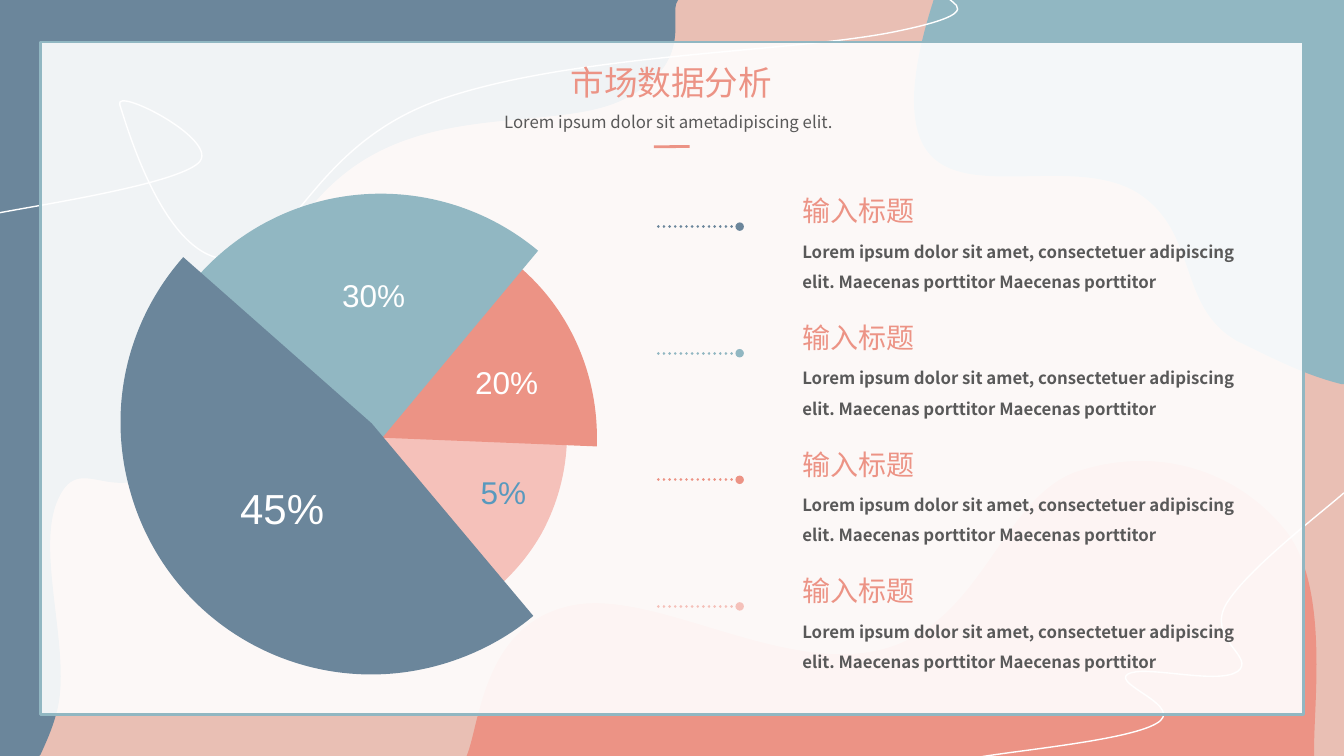
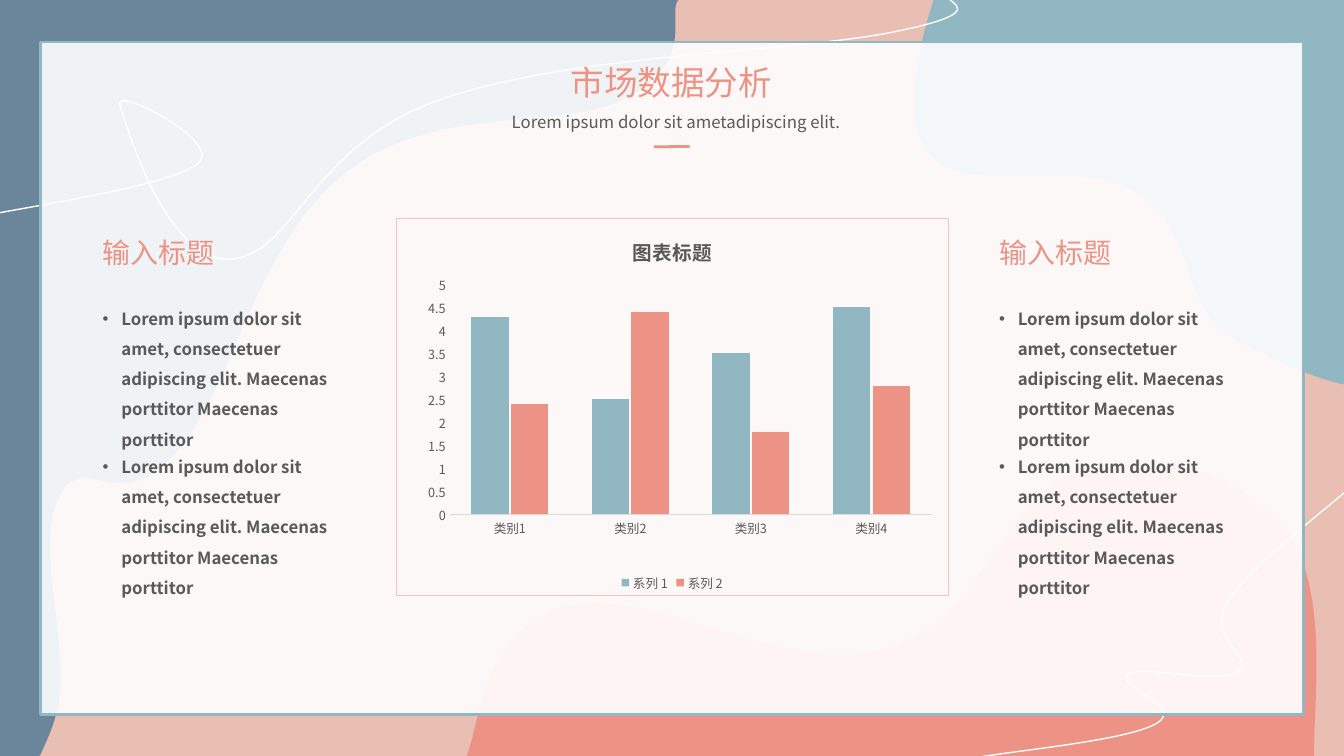
"""Builds two market analysis slides: a stepped pie with notes and a column chart with notes."""
from lxml.etree import SubElement
from pptx import Presentation
from pptx.chart.data import CategoryChartData
from pptx.dml.color import RGBColor
from pptx.enum.chart import XL_CHART_TYPE as ChartType
from pptx.enum.chart import XL_LEGEND_POSITION as LegendPosition
from pptx.enum.chart import XL_TICK_MARK as TickMark
from pptx.enum.dml import MSO_LINE_DASH_STYLE as Dash
from pptx.enum.shapes import MSO_CONNECTOR as Connector
from pptx.enum.shapes import MSO_SHAPE as Shape
from pptx.enum.text import MSO_AUTO_SIZE as AutoSize
from pptx.enum.text import PP_ALIGN as Align
from pptx.oxml import parse_xml
from pptx.oxml.ns import nsdecls, qn
from pptx.util import Cm, Pt

SAND = RGBColor(0xE9, 0xBF, 0xB4)
CORAL = RGBColor(0xEC, 0x93, 0x85)
TEAL = RGBColor(0x91, 0xB7, 0xC2)
SLATE = RGBColor(0x6B, 0x86, 0x9B)
PINK = RGBColor(0xF5, 0xC1, 0xBA)
BLUE = RGBColor(0x58, 0x99, 0xBE)
WHITE = RGBColor(0xFF, 0xFF, 0xFF)
GREY = RGBColor(0x59, 0x59, 0x59)
LIGHT_GREY = RGBColor(0xD9, 0xD9, 0xD9)
CJK = "Noto Sans CJK SC"

TITLE = "市场数据分析"
SUBTITLE = "Lorem ipsum dolor sit ametadipiscing elit."
HEADING = "输入标题"
BODY = "Lorem ipsum dolor sit amet, consectetuer adipiscing elit. Maecenas porttitor Maecenas porttitor"

TITLE_FORMAT = {"size": Pt(24), "name": CJK, "color": CORAL}
SUBTITLE_FORMAT = {"size": Pt(12), "name": CJK, "color": GREY}
HEADING_FORMAT = {"size": Pt(20), "name": CJK, "color": CORAL}
BODY_FORMAT = {"size": Pt(12), "name": CJK, "color": GREY, "bold": True}
CHART_FORMAT = {"size": Pt(9), "name": CJK, "color": GREY}
CHART_TITLE_FORMAT = {"size": Pt(14), "name": CJK, "color": GREY, "bold": True}

CORAL_HILL = [
    (11.76, 19.05), (12.09, 18.26, 12.17, 15.82, 14.27, 15.29),
    (16.36, 14.73, 19.66, 17.04, 22.25, 16.36), (24.84, 15.67, 25.25, 12.4, 27.28, 11.84),
    (29.29, 11.23, 31.22, 11.91, 32.39, 13.36), (33.55, 14.81, 33.07, 17.93, 33.12, 19.05)]
TEAL_CORNER = [
    (23.52, 0), (33.87, 0), (33.87, 9.68), (33.81, 9.68),
    (32.87, 9.45, 32.06, 9.02, 31.17, 8.59), (29.64, 7.72, 30.23, 5.84, 28.65, 4.85),
    (26.99, 3.86, 24.1, 5.16, 23.27, 3.66), (22.81, 2.82, 23.09, 1.37, 23.52, 0.03), (23.52, 0)]
RIGHT_THREAD = [
    (33.87, 12.42), (33.27, 12.95, 31.45, 14.33, 30.91, 15.21),
    (30.38, 16.1, 31.67, 16.56, 31.19, 16.92), (30.68, 17.27, 28.83, 16.74, 28.42, 16.99),
    (28.02, 17.25, 29.92, 17.81, 29.13, 18.24), (28.37, 18.67, 25.5, 18.92, 24.56, 19.1)]
SLATE_SIDE = [
    (0, 0), (17.09, 0), (17.04, 0.1), (16.92, 0.53, 17.42, 1.63, 15.75, 2.49),
    (14.1, 3.33, 10.95, 2.57, 8.69, 4.37), (6.43, 6.15, 5.87, 9.8, 4.42, 11.43),
    (2.97, 13.08, 2.06, 11.25, 1.47, 12.57), (0.86, 13.87, 1.85, 16.51, 1.42, 17.98),
    (1.32, 18.36, 1.17, 18.69, 1.02, 19.02), (0.99, 19.05), (0, 19.05), (0, 0)]
LEFT_THREAD = [
    (0, 5.36), (1.04, 5.16, 4.39, 4.65, 5, 4.11), (5.61, 3.56, 2.87, 2.16, 3.02, 2.64),
    (3.18, 3.12, 4.14, 6.55, 5.77, 6.53), (7.39, 6.5, 7.8, 3.63, 11.15, 2.49),
    (14.48, 1.35, 19.94, 1.32, 22.5, 0.81), (25.04, 0.3, 23.85, 0.08, 23.9, -0.08)]
BACKDROP = [
    (CORAL_HILL, CORAL, None), (TEAL_CORNER, TEAL, None), (RIGHT_THREAD, None, WHITE),
    (SLATE_SIDE, SLATE, None), (LEFT_THREAD, None, WHITE)]

WEDGES = [
    (PINK, [(9.45, 16.05), (9.14, 10.92), (9.6, 5.82), (10.31, 5.87, 11.02, 6.07, 11.68, 6.45),
            (14.15, 7.85, 15.01, 10.97, 13.64, 13.46), (12.75, 15.01, 11.15, 15.95, 9.45, 16.05)]),
    (CORAL, [(10.46, 5.41), (11.25, 5.59, 11.99, 5.89, 12.67, 6.4),
             (14.3, 7.54, 15.11, 9.4, 15.04, 11.25), (9.35, 11.02), (10.46, 5.41)]),
    (TEAL, [(3.43, 11.4), (3.28, 8.43, 5.26, 5.71, 8.25, 5.03),
            (10.19, 4.6, 12.14, 5.13, 13.56, 6.32), (9.6, 11.07), (3.43, 11.4)]),
    (SLATE, [(4.62, 6.48), (9.37, 10.67), (13.44, 15.52), (12.78, 16.08, 11.96, 16.51, 11.07, 16.76),
             (7.7, 17.7, 4.22, 15.75, 3.28, 12.37), (2.67, 10.21, 3.25, 8.03, 4.62, 6.48)])]
SHARES = [
    ("45%", (5.47, 12.04, 3.28, 1.52), 30, WHITE), ("5%", (11.66, 11.8, 2.06, 1.22), 22.5, BLUE),
    ("20%", (11.46, 9.02, 2.62, 1.22), 22.5, WHITE), ("30%", (8.11, 6.83, 2.62, 1.22), 22.5, WHITE)]


def set_values(target, values):
    for name, value in values.items():
        setattr(target, name, value)


def set_font(font, values):
    for name, value in values.items():
        if name == "color":
            font.color.rgb = value
        else:
            setattr(font, name, value)


def trace(outline, steps=40):
    points = [outline[0]]
    for segment in outline[1:]:
        if len(segment) == 2:
            points.append(segment)
            continue
        start = points[-1]
        for step in range(1, steps + 1):
            t = step / steps
            u = 1 - t
            points.append(tuple(
                u**3 * start[i] + 3 * u**2 * t * segment[i]
                + 3 * u * t**2 * segment[i + 2] + t**3 * segment[i + 4] for i in (0, 1)))
    return points


class Deck:
    def __init__(self):
        self.prs = Presentation()
        set_values(self.prs, {"slide_width": Cm(33.87), "slide_height": Cm(19.05)})
        self.layout = self.prs.slide_layouts[6]
        self.slide = None

    def new_slide(self, subtitle_left):
        first = self.slide is None
        self.slide = self.prs.slides.add_slide(self.layout)
        if first:
            self.dress_layout()
        self.text(TITLE, (13.62, 1.43, 6.6, 1.27), TITLE_FORMAT, align=Align.CENTER)
        self.text(SUBTITLE, (subtitle_left, 2.44, 9.86, 1.02), SUBTITLE_FORMAT,
                  align=Align.CENTER, spacing=1.5)
        self.line((16.48, 3.7), (17.38, 3.69), CORAL)

    def dress_layout(self):
        for placeholder in list(self.layout.placeholders):
            self.layout.shapes._spTree.remove(placeholder._element)
        self.paint(self.layout.background.fill, SAND)
        for outline, fill, line in BACKDROP:
            self.outline(outline, fill, line)
        self.panel(1.02, 1.06, 31.83, 16.94)
        for shape in list(self.slide.shapes):
            self.layout.shapes._spTree.append(shape._element)

    def outline(self, outline, fill=None, line=None):
        builder = self.slide.shapes.build_freeform(*map(Cm, outline[0]))
        builder.add_line_segments([tuple(map(Cm, part[-2:])) for part in outline[1:]], close=False)
        shape = builder.convert_to_shape()
        self.bend(shape, outline)
        shape.shadow.inherit = False
        self.paint(shape.fill, fill)
        self.paint(shape.line.fill, line)
        if line is not None:
            shape.line.width = Pt(1)

    def bend(self, shape, outline):
        xs, ys = zip(*trace(outline))
        left, top = min(xs), min(ys)
        width, height = Cm(max(xs) - left), Cm(max(ys) - top)
        set_values(shape, {"left": Cm(left), "top": Cm(top), "width": width, "height": height})
        contour = shape._element.find(f".//{qn('a:path')}")
        for old_step in list(contour):
            contour.remove(old_step)
        contour.set("w", str(width))
        contour.set("h", str(height))
        for index, part in enumerate(outline):
            tag = "a:moveTo" if index == 0 else "a:lnTo" if len(part) == 2 else "a:cubicBezTo"
            step = SubElement(contour, qn(tag))
            for x, y in zip(part[::2], part[1::2]):
                point = SubElement(step, qn("a:pt"))
                point.set("x", str(Cm(x - left)))
                point.set("y", str(Cm(y - top)))
        if outline[0] == outline[-1][-2:]:
            SubElement(contour, qn("a:close"))

    def paint(self, fill, color):
        if color is None:
            fill.background()
        else:
            fill.solid()
            fill.fore_color.rgb = color

    def panel(self, *box):
        panel = self.slide.shapes.add_shape(Shape.RECTANGLE, *map(Cm, box))
        panel.shadow.inherit = False
        self.paint(panel.fill, WHITE)
        fill_color = panel._element.spPr.find(f".//{qn('a:srgbClr')}")
        SubElement(fill_color, qn("a:alpha")).set("val", "90000")
        self.paint(panel.line.fill, TEAL)
        panel.line.width = Pt(2)

    def text(self, content, box, font, align=Align.LEFT, spacing=None, bullet=False):
        frame = self.slide.shapes.add_textbox(*map(Cm, box)).text_frame
        set_values(frame, {"word_wrap": True, "auto_size": AutoSize.SHAPE_TO_FIT_TEXT})
        paragraph = frame.paragraphs[0]
        set_values(paragraph, {"alignment": align, "line_spacing": spacing})
        if bullet:
            properties = paragraph._p.get_or_add_pPr()
            properties.set("marL", str(Cm(0.47)))
            properties.set("indent", str(Cm(-0.47)))
            SubElement(properties, qn("a:buFont")).set("typeface", "Arial")
            SubElement(properties, qn("a:buChar")).set("char", "•")
        run = paragraph.add_run()
        run.text = content
        set_font(run.font, font)
        SubElement(run._r.get_or_add_rPr(), qn("a:ea")).set("typeface", font["name"])

    def line(self, start, end, color, dotted=False):
        connector = self.slide.shapes.add_connector(Connector.STRAIGHT, *map(Cm, start + end))
        line = connector.line
        line.color.rgb = color
        line.width = Pt(2)
        if dotted:
            line.dash_style = Dash.ROUND_DOT
            stroke = connector._element.spPr.find(qn("a:ln"))
            stroke.set("cap", "rnd")
            SubElement(stroke, qn("a:tailEnd")).set("type", "oval")
        SubElement(connector._element.spPr, qn("a:effectLst"))

    def columns(self, box, title, categories, series):
        data = CategoryChartData()
        data.categories = categories
        for name, values, _ in series:
            data.add_series(name, values)
        chart = self.slide.shapes.add_chart(ChartType.COLUMN_CLUSTERED, *map(Cm, box), data).chart
        set_font(chart.font, CHART_FORMAT)
        chart.has_title = True
        caption = chart.chart_title.text_frame
        caption.text = title
        set_font(caption.paragraphs[0].runs[0].font, CHART_TITLE_FORMAT)
        chart.has_legend = True
        set_values(chart.legend, {"position": LegendPosition.BOTTOM, "include_in_layout": False})
        set_font(chart.legend.font, CHART_FORMAT)
        for axis in (chart.category_axis, chart.value_axis):
            set_values(axis, {"has_major_gridlines": False, "major_tick_mark": TickMark.NONE,
                              "minor_tick_mark": TickMark.NONE})
            set_font(axis.tick_labels.font, CHART_FORMAT)
        chart.value_axis.format.line.fill.background()
        self.paint(chart.category_axis.format.line.fill, LIGHT_GREY)
        chart.category_axis.format.line.width = Pt(0.75)
        plot = chart.plots[0]
        set_values(plot, {"gap_width": 117, "overlap": -6, "vary_by_categories": False})
        for bars, (_, _, color) in zip(plot.series, series):
            self.paint(bars.format.fill, color)
        self.frame_chart(chart)

    def frame_chart(self, chart):
        chart_part = chart._chartSpace.find(qn("c:chart"))
        chart_part.addnext(parse_xml(
            f'<c:spPr {nsdecls("c", "a")}><a:noFill/><a:ln w="{Pt(0.75)}"><a:solidFill>'
            f'<a:srgbClr val="{PINK}"/></a:solidFill></a:ln></c:spPr>'))
        plot_area = chart_part.find(qn("c:plotArea"))
        for old_layout in plot_area.findall(qn("c:layout")):
            plot_area.remove(old_layout)
        layout = parse_xml(f'<c:layout {nsdecls("c")}><c:manualLayout/></c:layout>')
        percents = {"x": 9.7, "y": 17.5, "w": 87.3, "h": 61}
        settings = {"layoutTarget": "inner", "xMode": "edge", "yMode": "edge",
                    **{side: percent / 100 for side, percent in percents.items()}}
        for name, value in settings.items():
            SubElement(layout[0], qn(f"c:{name}")).set("val", str(value))
        plot_area.insert(0, layout)


def main():
    deck = Deck()

    deck.new_slide(subtitle_left=11.92)
    for color, wedge in WEDGES:
        deck.outline(wedge, color)
    for share, box, size, color in SHARES:
        deck.text(share, box, {"size": Pt(size), "name": "Arial", "color": color}, align=Align.CENTER)
    for row, color in enumerate((SLATE, TEAL, CORAL, PINK)):
        top = 5.71 + 3.19 * row
        deck.line((16.59, top), (18.64, top), color, dotted=True)
        deck.text(BODY, (19.97, top, 12.07, 1.8), BODY_FORMAT, spacing=1.5)
        deck.text(HEADING, (19.97, top - 0.95, 3.94, 1.12), HEADING_FORMAT)

    deck.new_slide(subtitle_left=12.11)
    deck.columns((9.97, 5.49, 13.94, 9.53), "图表标题", ["类别1", "类别2", "类别3", "类别4"],
                 [("系列 1", (4.3, 2.5, 3.5, 4.5), TEAL), ("系列 2", (2.4, 4.4, 1.8, 2.8), CORAL)])
    for left in (2.34, 24.93):
        deck.text(HEADING, (left, 5.8, 3.94, 1.12), HEADING_FORMAT)
        for top in (7.39, 11.13):
            deck.text(BODY, (left, top, 6.81, 3.33), BODY_FORMAT, spacing=1.5, bullet=True)

    deck.prs.save("out.pptx")


if __name__ == "__main__":
    main()
